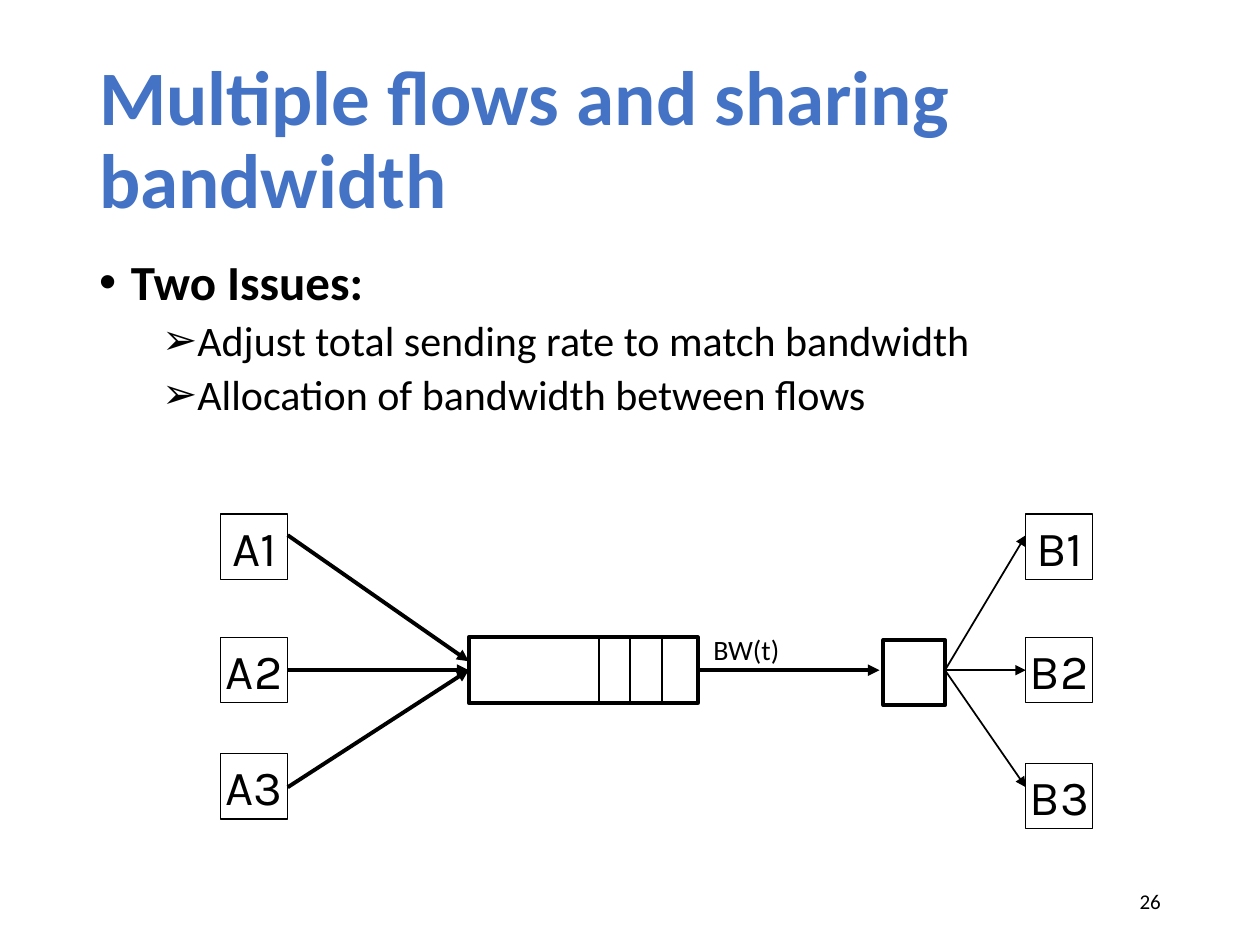
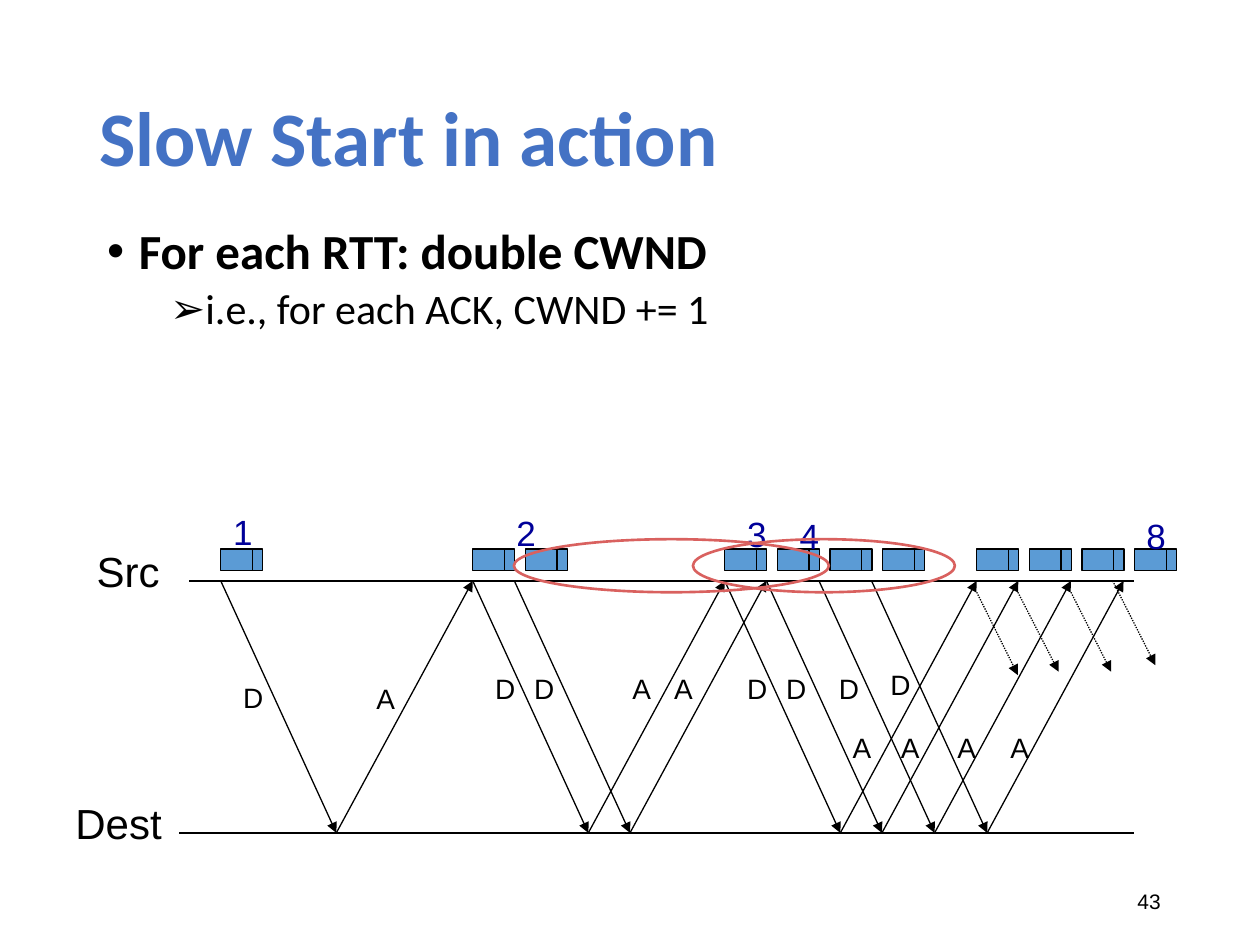
import dataclasses

import lxml.etree
import pptx
import pptx.dml.color
import pptx.enum.dml
import pptx.enum.shapes
import pptx.enum.text
import pptx.oxml.ns
import pptx.slide
import pptx.util

Cm = pptx.util.Cm
Pt = pptx.util.Pt
RGBColor = pptx.dml.color.RGBColor
SHAPE = pptx.enum.shapes.MSO_SHAPE
ALIGN = pptx.enum.text.PP_ALIGN
ANCHOR = pptx.enum.text.MSO_ANCHOR
DOTTED = pptx.enum.dml.MSO_LINE.ROUND_DOT

BLACK = RGBColor(0x00, 0x00, 0x00)
WHITE = RGBColor(0xFF, 0xFF, 0xFF)
TITLE_BLUE = RGBColor(0x44, 0x72, 0xC4)
PACKET_BLUE = RGBColor(0x5B, 0x9B, 0xD5)
COUNT_BLUE = RGBColor(0x00, 0x00, 0x99)
RING_RED = RGBColor(0xD9, 0x61, 0x5F)

TITLE_BOX = (1.75, 1.02, 21.9, 3.68)
NUMBER_BOX = (17.93, 17.65, 5.72, 1.02)

TITLE = {"name": "Calibri", "size": Pt(44), "bold": True, "color": TITLE_BLUE}
NUMBER = {"name": "Calibri", "size": Pt(12), "color": BLACK}
NODE = {"name": "Karla", "size": Pt(28), "color": BLACK}
BANDWIDTH = {"name": "Calibri", "size": Pt(16), "color": BLACK}
MESSAGE = {"name": "Arial", "size": Pt(16), "color": BLACK}
HOST = {"name": "Arial", "size": Pt(24), "color": BLACK}
COUNT = {"name": "Arial", "size": Pt(20), "color": COUNT_BLUE}

BULLETS = [
    {"mark": "•", "margin": 0.64, "before": 10,
     "font": {"name": "Calibri", "size": Pt(28), "bold": True, "color": BLACK}},
    {"mark": "➢", "margin": 1.91, "before": 5,
     "font": {"name": "Calibri", "size": Pt(24), "bold": False, "color": BLACK}},
]


def apply(target, values):
    """Set each named value on the target."""
    for name, value in values.items():
        if name == "color":
            target.color.rgb = value
        else:
            setattr(target, name, value)


def add_element(parent, tag, **attributes):
    """Append a drawing element to the parent."""
    return lxml.etree.SubElement(parent, pptx.oxml.ns.qn(tag), attributes)


def write(para, text, font):
    """Add a formatted span to a paragraph."""
    span = para.add_run()
    span.text = text
    apply(span.font, font)


@dataclasses.dataclass
class Region:
    """A part of a page whose contents are placed from its top left corner in cm."""

    page: pptx.slide.Slide
    left: float
    top: float

    def lengths(self, x, y):
        """Turn a place in the region into a place on the page."""
        return Cm(self.left + x), Cm(self.top + y)

    def shape(self, kind, x, y, width, height, fill=None, color=BLACK, weight=0.75):
        """Draw a preset shape."""
        shape = self.page.shapes.add_shape(
            kind, *self.lengths(x, y), Cm(width), Cm(height))
        shape.shadow.inherit = False
        if fill is None:
            shape.fill.background()
        else:
            shape.fill.solid()
            shape.fill.fore_color.rgb = fill
        shape.line.color.rgb = color
        shape.line.width = Pt(weight)
        return shape

    def line(self, x1, y1, x2, y2, weight=0.75, arrow=True, dash=None):
        """Draw a straight line, by default with an arrowhead at its end."""
        line = self.page.shapes.add_connector(
            pptx.enum.shapes.MSO_CONNECTOR.STRAIGHT,
            *self.lengths(x1, y1), *self.lengths(x2, y2))
        apply(line.line, {"color": BLACK, "width": Pt(weight)})
        if dash:
            line.line.dash_style = dash
        if arrow:
            add_element(line.line._get_or_add_ln(), "a:tailEnd", type="triangle")
        add_element(line._element.spPr, "a:effectLst")

    def label(self, text, x, y, width, height, font):
        """Write a short text that does not wrap."""
        box = self.page.shapes.add_textbox(
            *self.lengths(x, y), Cm(width), Cm(height))
        box.text_frame.word_wrap = False
        write(box.text_frame.paragraphs[0], text, font)


def add_text_box(page, place, anchor=ANCHOR.TOP):
    """Add a wrapping text box and return its frame."""
    frame = page.shapes.add_textbox(*map(Cm, place)).text_frame
    apply(frame, {"word_wrap": True, "vertical_anchor": anchor})
    return frame


def add_page(deck, title, number, number_font="Calibri"):
    """Add a page with its title and number."""
    page = deck.slides.add_slide(deck.slide_layouts[6])
    para = add_text_box(page, TITLE_BOX, ANCHOR.MIDDLE).paragraphs[0]
    para.line_spacing = 0.9
    write(para, title, TITLE)
    para = add_text_box(page, NUMBER_BOX, ANCHOR.MIDDLE).paragraphs[0]
    para.alignment = ALIGN.RIGHT
    write(para, number, NUMBER | {"name": number_font})
    return page


def add_bullets(page, place, items):
    """Write bulleted items given as pairs of level and text."""
    frame = add_text_box(page, place)
    for index, (level, text) in enumerate(items):
        style = BULLETS[level]
        para = frame.add_paragraph() if index else frame.paragraphs[0]
        properties = para._p.get_or_add_pPr()
        properties.set("marL", str(Cm(style["margin"])))
        properties.set("indent", str(Cm(-0.64)))
        add_element(properties, "a:buFont", typeface="Arial")
        add_element(properties, "a:buChar", char=style["mark"])
        apply(para, {"level": level, "line_spacing": 0.9,
                     "space_before": Pt(style["before"] if index else 0)})
        write(para, text, style["font"])


def add_node(region, name, x, y):
    """Draw a named end host."""
    node = region.shape(SHAPE.RECTANGLE, x, y, 1.35, 1.32, WHITE)
    frame = node.text_frame
    apply(frame, {"word_wrap": False, "vertical_anchor": ANCHOR.MIDDLE,
                  "margin_left": Cm(0.15), "margin_right": Cm(0.15),
                  "margin_top": Cm(0.08), "margin_bottom": Cm(0.08)})
    frame.paragraphs[0].alignment = ALIGN.CENTER
    write(frame.paragraphs[0], name, NODE)


def add_network(region):
    """Draw senders that share a queue and a link towards receivers."""
    middle, queue_left, hub_right, receiver_left = 3.15, 5, 14.6, 16.23
    for name, x, y in [("A1", 0, 0), ("A2", 0, 2.49), ("A3", 0, 4.83),
                       ("B1", receiver_left, 0), ("B2", receiver_left, 2.49),
                       ("B3", receiver_left, 5.03)]:
        add_node(region, name, x, y)
    region.shape(SHAPE.RECTANGLE, queue_left, 2.49, 4.62, 1.32, WHITE, weight=2.25)
    region.shape(SHAPE.RECTANGLE, 13.36, 2.54, 1.24, 1.32, WHITE, weight=2.25)
    for slot in range(3):
        x = 7.62 + slot * 0.635
        region.line(x, 2.46, x, 3.81, weight=1, arrow=False)
    for port, entry in [(0.43, 2.97), (middle, middle), (5.51, middle)]:
        region.line(1.35, port, queue_left, entry, weight=2.25)
        region.line(hub_right, middle, receiver_left, port, weight=1)
    region.line(9.63, middle, 13.28, middle, weight=2.25)
    region.label("BW(t)", 9.68, 2.26, 1.96, 0.94, BANDWIDTH)


def add_packet(region, x):
    """Draw a packet with its header line."""
    region.shape(SHAPE.RECTANGLE, x, 0.91, 0.85, 0.43, PACKET_BLUE)
    region.line(x + 0.64, 0.91, x + 0.64, 1.34, arrow=False)


def add_timeline(region):
    """Draw the exchange of data and acknowledgements over four round trips."""
    source, target, round_trip, one_way = 1.55, 6.63, 5.08, 2.33
    for name, x, y, width, start, level in [
            ("Src", 0.43, 0.71, 1.8, 2.54, source),
            ("Dest", 0, 5.79, 2.26, 2.34, target)]:
        region.line(start, level, 21.59, level, arrow=False)
        region.label(name, x, y, width, 1.27, HOST)

    for trip, packets in enumerate([1, 2, 4, 4]):
        for packet in range(packets):
            add_packet(region, 3.18 + trip * round_trip + packet * 1.06)

    for sent, data_x, data_y, ack_x, ack_y in [
            (3.18, 3.38, 3.43, 6.07, 3.45),
            (8.26, 8.46, 3.25, 11.23, 3.25),
            (9.1, 9.25, 3.25, 12.07, 3.25),
            (13.34, 13.54, 3.25, 15.67, 4.45),
            (14.18, 14.33, 3.25, 16.64, 4.45),
            (15.24, 15.39, 3.25, 17.78, 4.45),
            (16.3, 16.43, 3.18, 18.85, 4.45)]:
        arrival = sent + one_way
        region.line(sent, source, arrival, target)
        region.line(arrival, target, sent + round_trip, source)
        region.label("D", data_x, data_y, 0.91, 0.94, MESSAGE)
        region.label("A", ack_x, ack_y, 0.91, 0.94, MESSAGE)

    for ends in [(18.42, 1.78, 19.25, 3.45), (19.25, 1.78, 20.07, 3.38),
                 (20.32, 1.78, 21.13, 3.38), (21.16, 1.55, 22.02, 3.25)]:
        region.line(*ends, dash=DOTTED)

    for count, x, y in [("1", 3.18, 0), ("2", 8.89, 0.03), ("3", 13.54, 0.05),
                        ("4", 14.6, 0.08), ("8", 21.59, 0.08)]:
        region.label(count, x, y, 0.94, 1.1, COUNT)
    for x, width in [(9.09, 6.35), (12.7, 5.28)]:
        region.shape(SHAPE.OVAL, x, 0.71, width, 1.07, color=RING_RED, weight=1.5)


def main():
    """Build and save the deck."""
    deck = pptx.Presentation()
    apply(deck, {"slide_width": Cm(25.4), "slide_height": Cm(19.05)})

    page = add_page(deck, "Multiple flows and sharing bandwidth", "26")
    add_bullets(page, (1.75, 5.08, 21.9, 12.09), [
        (0, "Two Issues:"),
        (1, "Adjust total sending rate to match bandwidth"),
        (1, "Allocation of bandwidth between flows")])
    add_network(Region(page, 4.45, 10.36))

    page = add_page(deck, "Slow Start in action", "43", "Arial")
    add_bullets(page, (1.91, 4.45, 22.02, 3.45), [
        (0, "For each RTT: double CWND"),
        (1, "i.e., for each ACK, CWND += 1")])
    add_timeline(Region(page, 1.27, 10.16))

    deck.save("out.pptx")


if __name__ == "__main__":
    main()
